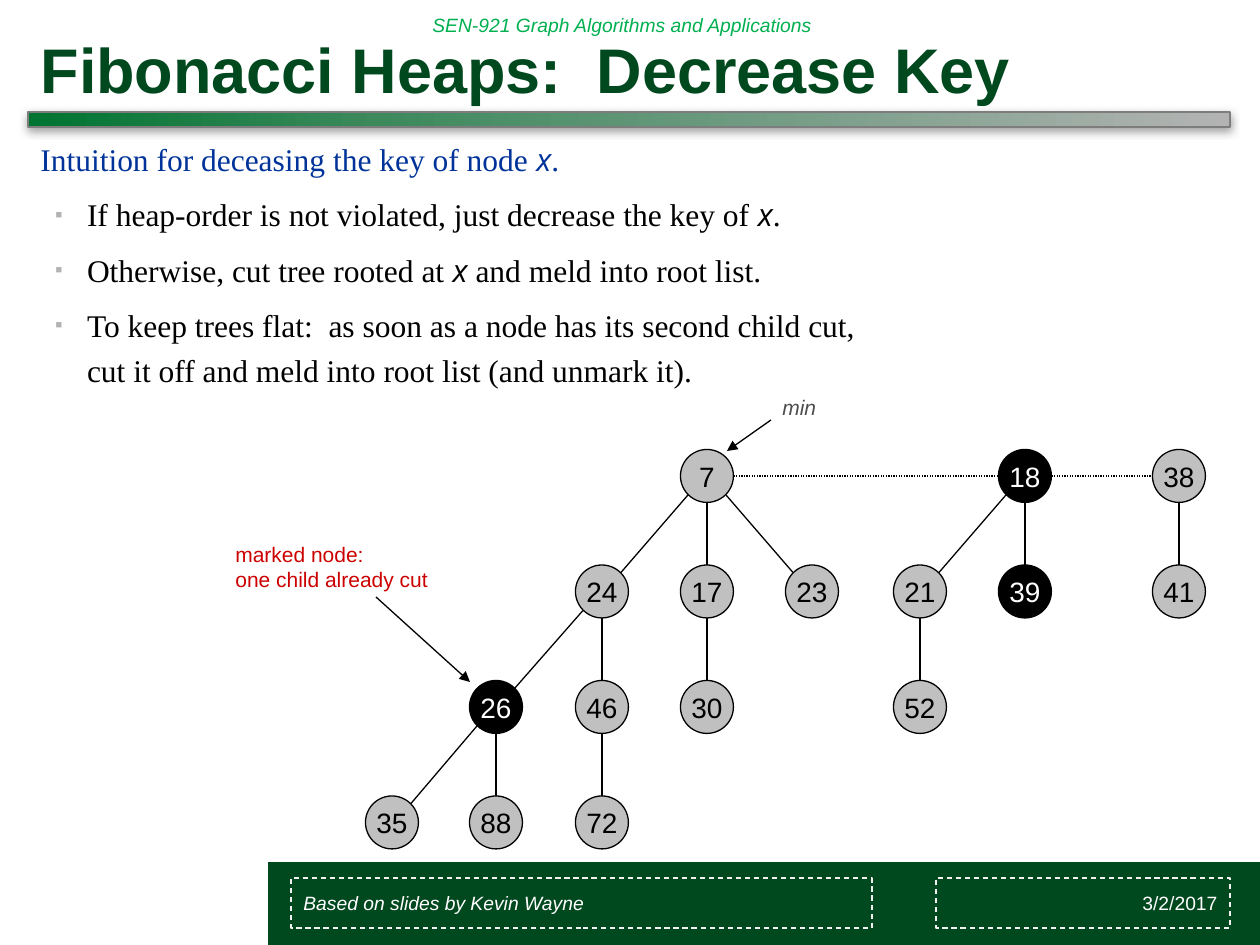
import pptx
import pptx.dml.color
import pptx.enum.dml
import pptx.enum.shapes
import pptx.enum.text
import pptx.oxml
import pptx.oxml.ns
import pptx.util
from lxml import etree

PX = 914400 / 126
COLORS = {
    "green": "00481E", "header": "00B050", "blue": "003399", "red": "CC0000",
    "black": "000000", "white": "FFFFFF", "node": "C0C0C0", "marked": "010000",
    "gray": "4D4D4D", "bullet": "B3B3B3", "bar_line": "7D7D7D", "dash": "F2F2F2",
}
ALIGN = pptx.enum.text.PP_ALIGN
ANCHOR = pptx.enum.text.MSO_ANCHOR
DASH = pptx.enum.dml.MSO_LINE
SHAPE = pptx.enum.shapes.MSO_SHAPE
NS = pptx.oxml.ns.nsdecls("a")


def emu(*px):
    return [round(v * PX) for v in px]


def rgb(name):
    return pptx.dml.color.RGBColor.from_string(COLORS[name])


def add_xml(parent, *fragments):
    for xml in fragments:
        tag, rest = xml.split(" ", 1) if " " in xml else (xml, "/>")
        parent.append(pptx.oxml.parse_xml(f"{tag} {NS} {rest}"))


class Deck:
    """Holds the style and the current slide."""

    def __init__(self, slide):
        self.slide = slide

    def font(self, p, size, color, name="Arial", bold=False, italic=False):
        f = p.font
        f.name, f.size, f.bold, f.italic = name, pptx.util.Pt(size), bold, italic
        f.color.rgb = rgb(color)

    def title(self, box, text):
        sp = self.slide.shapes.title
        sp.left, sp.top, sp.width, sp.height = emu(*box)
        tf = sp.text_frame
        tf.vertical_anchor = ANCHOR.BOTTOM
        tf.auto_size = pptx.enum.text.MSO_AUTO_SIZE.NONE
        p = tf.paragraphs[0]
        p.text, p.alignment = text, ALIGN.LEFT
        self.font(p, 36, "green", bold=True)

    def text(self, box, text, size, color, italic=False, wrap=True, anchor=ANCHOR.TOP):
        tf = self.slide.shapes.add_textbox(*emu(*box)).text_frame
        tf.word_wrap, tf.vertical_anchor = wrap, anchor
        p = tf.paragraphs[0]
        p.text = text
        self.font(p, size, color, italic=italic)

    def body(self, box, lines):
        """First line is a heading, the rest are bullets; *x* marks a variable."""
        tf = self.slide.shapes.add_textbox(*emu(*box)).text_frame
        tf.word_wrap = True
        for i, line in enumerate(lines):
            p = tf.paragraphs[0] if i == 0 else tf.add_paragraph()
            p.line_spacing = pptx.util.Pt(25.6)
            if i:
                p.space_before = pptx.util.Pt(6)
                pPr = p._p.get_or_add_pPr()
                pPr.set("marL", str(pptx.util.Inches(0.37)))
                pPr.set("indent", str(pptx.util.Inches(-0.25)))
                add_xml(pPr,
                        f'<a:buClr><a:srgbClr val="{COLORS["bullet"]}"/></a:buClr>'.replace(
                            "<a:buClr>", "<a:buClr >", 1),
                        '<a:buSzPct val="35000"/>',
                        '<a:buFont typeface="Arial"/>',
                        '<a:buChar char="■"/>')
            self.font(p, 18, "black" if i else "blue", "Times New Roman")
            for k, part in enumerate(line.split("*")):
                for n, piece in enumerate(part.split("\n")):
                    if n:
                        p.add_line_break()
                    r = p.add_run()
                    r.text = piece
                    if k % 2:
                        r.font.name, r.font.italic = "Open Sans", True

    def shape(self, kind, box, fill=None, line=None, width=0.75, dash=None):
        sp = self.slide.shapes.add_shape(kind, *emu(*box))
        sp.shadow.inherit = False
        if fill:
            sp.fill.solid()
            sp.fill.fore_color.rgb = rgb(fill)
        else:
            sp.fill.background()
        if line:
            sp.line.color.rgb, sp.line.width = rgb(line), pptx.util.Pt(width)
            if dash:
                sp.line.dash_style = dash
        else:
            sp.line.fill.background()
        return sp

    def label(self, sp, text, size, color, align, italic=False, wrap=True):
        tf = sp.text_frame
        tf.word_wrap, tf.vertical_anchor = wrap, ANCHOR.MIDDLE
        p = tf.paragraphs[0]
        p.text, p.alignment = text, align
        self.font(p, size, color, italic=italic)

    def bar(self, box):
        sp = self.shape(SHAPE.RECTANGLE, box, "green", "bar_line", 1)
        sp.fill.gradient()
        sp.fill.gradient_angle = 0
        stops = sp._element.spPr.find(".//" + pptx.oxml.ns.qn("a:gsLst"))
        for old in list(stops):
            stops.remove(old)
        for pos, color in ((0, "007430"), (29, "3C895C"), (100, "B3B3B3")):
            add_xml(stops, f'<a:gs pos="{pos * 1000}"><a:srgbClr val="{color}"/></a:gs>')
        effects = sp._element.spPr.find(pptx.oxml.ns.qn("a:effectLst"))
        add_xml(effects, '<a:outerShdw blurRad="63500" dist="25400" dir="5400000">'
                         '<a:srgbClr val="808080"><a:alpha val="75000"/></a:srgbClr></a:outerShdw>')

    def line(self, start, end, dash=None, arrow=False):
        c = self.slide.shapes.add_connector(
            pptx.enum.shapes.MSO_CONNECTOR.STRAIGHT, *emu(*start, *end))
        c.line.color.rgb, c.line.width = rgb("black"), pptx.util.Pt(0.75)
        if dash:
            c.line.dash_style = dash
        if arrow:
            add_xml(c.line._get_or_add_ln(), '<a:tailEnd type="triangle"/>')
        etree.SubElement(c._element.spPr, pptx.oxml.ns.qn("a:effectLst"))

    def node(self, x, y, key, marked):
        sp = self.shape(SHAPE.OVAL, (x - RADIUS, y - RADIUS, 2 * RADIUS, 2 * RADIUS),
                        "marked" if marked else "node", "black")
        self.label(sp, str(key), 16, "white" if marked else "black", ALIGN.CENTER, wrap=False)


# Heap: key -> (column centre, level), and parent -> children
RADIUS, DIAGONAL = 26.5, 19
ROOT_Y, LEVEL = 476, 115.5
COLUMNS = {
    392: {3: 35}, 496: {2: 26, 3: 88}, 602: {1: 24, 2: 46, 3: 72},
    707: {0: 7, 1: 17, 2: 30}, 812: {1: 23}, 920: {1: 21, 2: 52},
    1025: {0: 18, 1: 39}, 1179: {0: 38, 1: 41},
}
NODES = {key: (x, ROOT_Y + LEVEL * level)
         for x, keys in COLUMNS.items() for level, key in keys.items()}
CHILDREN = {7: (24, 17, 23), 18: (21, 39), 38: (41,), 24: (26, 46),
            17: (30,), 21: (52,), 26: (35, 88), 46: (72,)}
ROOTS = (7, 18, 38)
MARKED = (26, 18, 39)


def main():
    prs = pptx.Presentation()
    prs.slide_width, prs.slide_height = emu(1260, 945)
    deck = Deck(prs.slides.add_slide(prs.slide_layouts[5]))

    # Header and footer band
    deck.shape(SHAPE.RECTANGLE, (268, 862, 992, 83), "green")
    deck.text((420, 0, 581, 50), "SEN-921 Graph Algorithms and Applications",
              11, "header", italic=True, anchor=ANCHOR.MIDDLE)
    deck.bar((28, 112, 1202, 15))

    # Title and body
    deck.title((28, 20, 1202, 92), "Fibonacci Heaps:  Decrease Key")
    deck.body((28, 127, 1202, 717), [
        "Intuition for deceasing the key of node *x*.",
        "If heap-order is not violated, just decrease the key of *x*.",
        "Otherwise, cut tree rooted at *x* and meld into root list.",
        "To keep trees flat:  as soon as a node has its second child cut,\n"
        "cut it off and meld into root list (and unmark it).",
    ])

    # Root list and tree edges
    for a, b in zip(ROOTS, ROOTS[1:]):
        deck.line((NODES[a][0] + RADIUS, ROOT_Y), (NODES[b][0] - RADIUS, ROOT_Y),
                  dash=DASH.ROUND_DOT)
    for parent, children in CHILDREN.items():
        px, py = NODES[parent]
        for child in children:
            cx, cy = NODES[child]
            side = (cx > px) - (cx < px)
            dx, dy = side * DIAGONAL, DIAGONAL if side else RADIUS
            deck.line((px + dx, py + dy), (cx - dx, cy - dy))

    # Nodes
    for key, (x, y) in NODES.items():
        deck.node(x, y, key, key in MARKED)

    # Annotations
    deck.text((770, 388, 59, 38), "min", 12, "gray", italic=True, wrap=False)
    deck.line((771, 420), (727, 451), arrow=True)
    deck.text((223, 535, 218, 63), "marked node:\vone child already cut", 12, "red", wrap=False)
    deck.line((376, 597), (470, 682), arrow=True)

    # Footer boxes
    for box, text, align, italic in (
            ((936, 878, 294, 50), "3/2/2017", ALIGN.RIGHT, False),
            ((291, 878, 581, 50), "Based on slides by Kevin Wayne", ALIGN.LEFT, True)):
        sp = deck.shape(SHAPE.RECTANGLE, box, line="dash", dash=DASH.SQUARE_DOT)
        sp.line.dash_style = DASH.DASH
        deck.label(sp, text, 11, "white", align, italic)

    prs.save("out.pptx")


if __name__ == "__main__":
    main()
